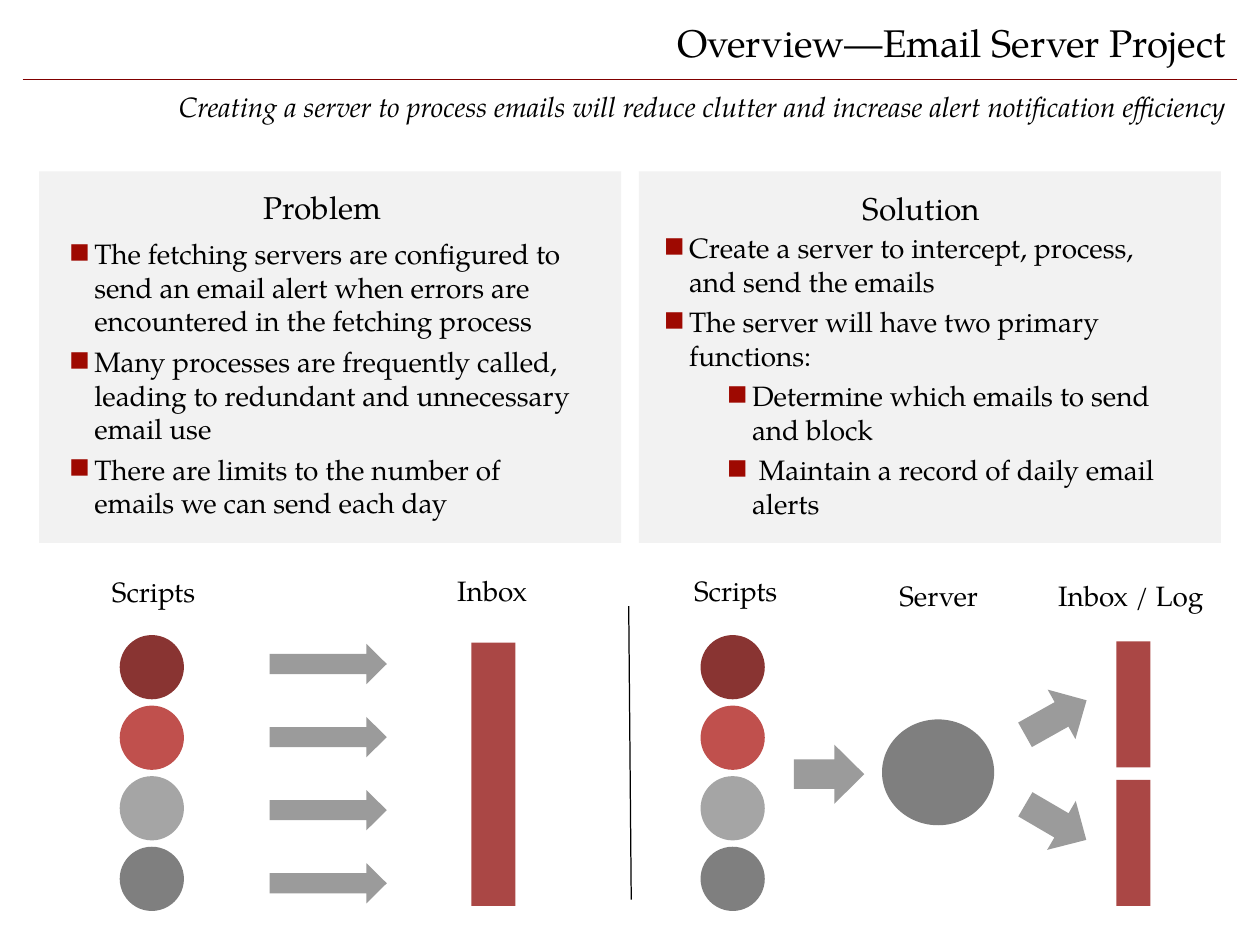
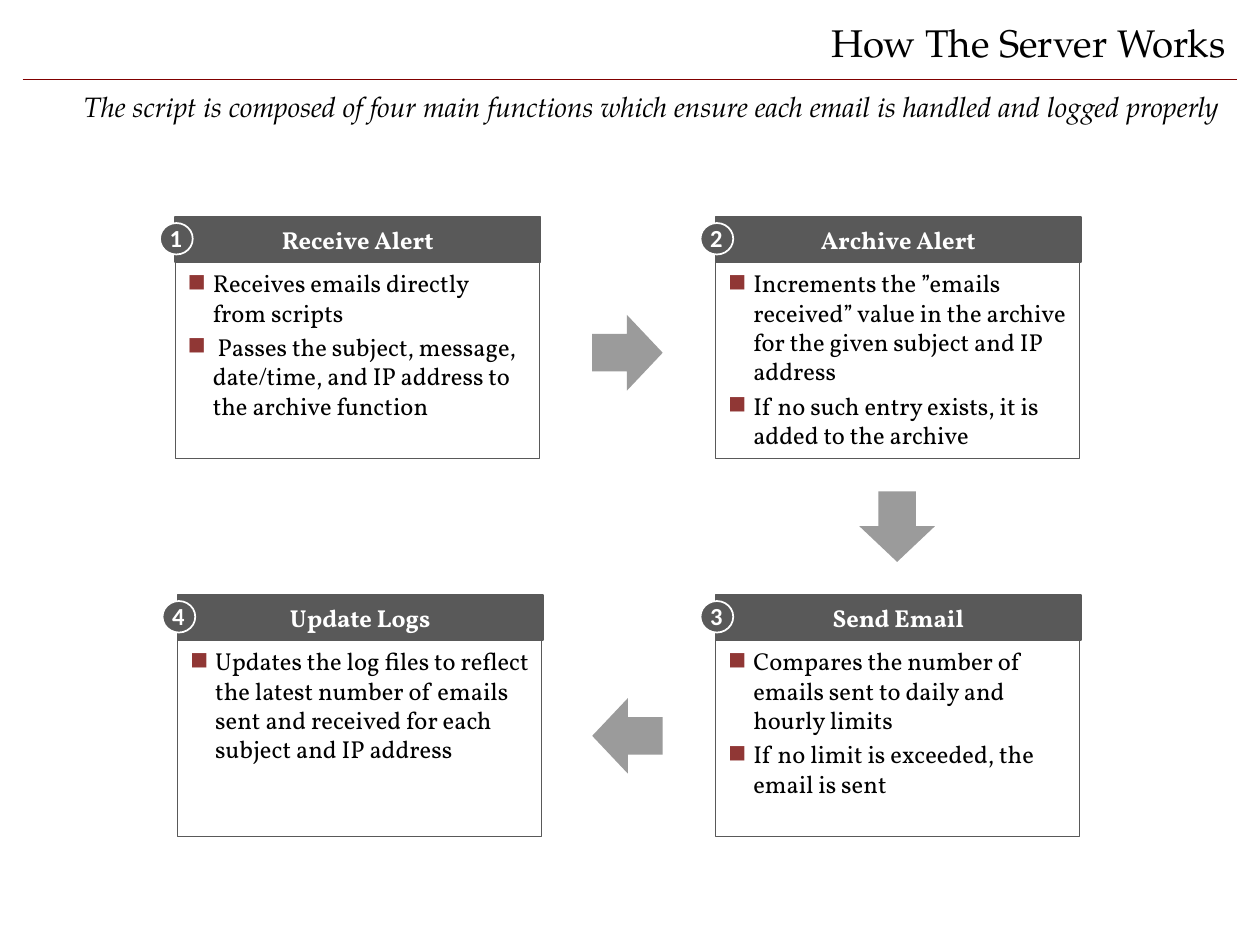
from dataclasses import dataclass

from lxml.etree import SubElement
from pptx import Presentation
from pptx.dml.color import RGBColor
from pptx.enum.shapes import MSO_CONNECTOR, MSO_SHAPE as Preset
from pptx.enum.text import MSO_ANCHOR as Anchor, MSO_AUTO_SIZE as AutoSize, PP_ALIGN as Align
from pptx.oxml.ns import qn
from pptx.util import Inches, Pt

# Colours
BLACK = RGBColor(0x00, 0x00, 0x00)
WHITE = RGBColor(0xFF, 0xFF, 0xFF)
MAROON = RGBColor(0x80, 0x00, 0x00)
PANEL_GREY = RGBColor(0xF2, 0xF2, 0xF2)
ARROW_GREY = RGBColor(0x9B, 0x9B, 0x9B)
HEADER_GREY = RGBColor(0x59, 0x59, 0x59)
SERVER_GREY = RGBColor(0x7F, 0x7F, 0x7F)
INBOX_RED = RGBColor(0xAA, 0x47, 0x45)
BRIGHT_BULLET = RGBColor(0x9E, 0x09, 0x01)
DARK_BULLET = RGBColor(0x90, 0x37, 0x35)
SCRIPT_COLOURS = (
    RGBColor(0x89, 0x34, 0x32),
    RGBColor(0xC0, 0x50, 0x4D),
    RGBColor(0xA5, 0xA5, 0xA5),
    SERVER_GREY,
)

# Fonts
SERIF = "TeX Gyre Pagella"
CARD_FONT = "Vollkorn"
NUMBER_FONT = "Calibri"

BULLET_HANG = 0.2
CARD_WIDTH = 2.9
HEADER_HEIGHT = 0.36


@dataclass(frozen=True)
class Bullet:
    text: str
    indent: float = BULLET_HANG


@dataclass(frozen=True)
class Panel:
    heading: str
    left: float
    heading_at: tuple[float, float]
    list_at: tuple[float, float]
    bullets: tuple[Bullet, ...]


@dataclass(frozen=True)
class Label:
    text: str
    left: float
    top: float
    width: float = 2.22
    align: Align = Align.LEFT


@dataclass(frozen=True)
class Arrow:
    left: float
    top: float
    width: float = 0.56
    height: float = 0.6
    rotation: float = 0


@dataclass(frozen=True)
class Card:
    number: int
    heading: str
    left: float
    top: float
    bullets: tuple[Bullet, ...]


PANELS = (
    Panel("Solution", 5.07, (6.75, 1.45), (5.17, 1.78), (
        Bullet("Create a server to intercept, process, and send the emails"),
        Bullet("The server will have two primary functions:"),
        Bullet("Determine which emails to send and block", 0.7),
        Bullet(" Maintain a record of daily email alerts", 0.7),
    )),
    Panel("Problem", 0.31, (1.99, 1.44), (0.45, 1.83), (
        Bullet("The fetching servers are configured to send an email alert "
               "when errors are encountered in the fetching process"),
        Bullet("Many processes are frequently called, leading to redundant "
               "and unnecessary email use"),
        Bullet("There are limits to the number of emails we can send each day"),
    )),
)

LABELS = (
    Label("Scripts", 0.79, 4.51),
    Label("Inbox", 3.53, 4.5),
    Label("Scripts", 5.41, 4.5),
    Label("Server", 6.95, 4.54, 1, Align.CENTER),
    Label("Inbox / Log", 8.3, 4.54, 1.6),
)

FLOW_ARROWS = (
    *(Arrow(2.14, 5.11 + 0.58 * row, 0.93, 0.32) for row in range(4)),
    Arrow(6.3, 5.91, 0.56, 0.47),
    Arrow(8.1, 6.3, 0.56, 0.45, 30.3),
    Arrow(8.1, 5.47, 0.56, 0.45, 330.7),
)

CARDS = (
    Card(1, "Receive Alert", 1.39, 1.72, (
        Bullet("Receives emails directly from scripts"),
        Bullet(" Passes the subject, message, date/time, and IP address "
               "to the archive function"),
    )),
    Card(2, "Archive Alert", 5.68, 1.72, (
        Bullet("Increments the ”emails received” value in the archive "
               "for the given subject and IP address"),
        Bullet("If no such entry exists, it is added to the archive"),
    )),
    Card(3, "Send Email", 5.68, 4.72, (
        Bullet("Compares the number of emails sent to daily and hourly limits"),
        Bullet("If no limit is exceeded, the email is sent"),
    )),
    Card(4, "Update Logs", 1.41, 4.72, (
        Bullet("Updates the log files to reflect the latest number of emails "
               "sent and received for each subject and IP address"),
    )),
)

CARD_ARROWS = (
    Arrow(4.7, 2.5),
    Arrow(4.7, 5.54, rotation=180),
    Arrow(6.84, 3.88, rotation=90),
)


def write(box, text: str, *, size: float = 16, font: str = SERIF, colour: RGBColor = BLACK,
          bold: bool = False, italic: bool = False, align: Align = Align.LEFT,
          anchor: Anchor = Anchor.TOP, line_spacing: float | None = None,
          space_before: float = 0, bullet: RGBColor | None = None,
          indent: float = BULLET_HANG) -> None:
    """Add one formatted paragraph to a shape."""
    frame = box.text_frame
    frame.word_wrap = True
    frame.vertical_anchor = anchor
    para = frame.add_paragraph() if frame.text else frame.paragraphs[0]
    para.alignment = align
    para.space_before = Pt(space_before)
    if line_spacing:
        para.line_spacing = line_spacing
    span = para.add_run()
    span.text = text
    span.font.size = Pt(size)
    span.font.name = font
    span.font.bold = bold
    span.font.italic = italic
    span.font.color.rgb = colour
    if bullet is not None:
        props = para._p.get_or_add_pPr()
        props.set("marL", str(Inches(indent)))
        props.set("indent", str(-Inches(BULLET_HANG)))
        SubElement(SubElement(props, qn("a:buClr")), qn("a:srgbClr")).set("val", str(bullet))
        SubElement(props, qn("a:buSzPct")).set("val", "90000")
        SubElement(props, qn("a:buChar")).set("char", "◼")


def add_text_box(page, left: float, top: float, width: float, height: float):
    return page.shapes.add_textbox(Inches(left), Inches(top), Inches(width), Inches(height))


def add_preset(page, preset: Preset, left: float, top: float, width: float, height: float, *,
               fill: RGBColor | None = None, line: RGBColor | None = None,
               line_width: float = 1):
    shape = page.shapes.add_shape(preset, Inches(left), Inches(top), Inches(width), Inches(height))
    shape.shadow.inherit = False
    if fill is None:
        shape.fill.background()
    else:
        shape.fill.solid()
        shape.fill.fore_color.rgb = fill
    if line is None:
        shape.line.fill.background()
    else:
        shape.line.color.rgb = line
        shape.line.width = Pt(line_width)
    return shape


def add_rule(page, start: tuple[float, float], end: tuple[float, float],
             colour: RGBColor, width: float) -> None:
    rule = page.shapes.add_connector(MSO_CONNECTOR.STRAIGHT, *map(Inches, start + end))
    rule.line.color.rgb = colour
    rule.line.width = Pt(width)
    SubElement(rule._element.spPr, qn("a:effectLst"))


def add_arrow(page, arrow: Arrow) -> None:
    shape = add_preset(page, Preset.RIGHT_ARROW, arrow.left, arrow.top,
                       arrow.width, arrow.height, fill=ARROW_GREY)
    shape.adjustments[0] = 0.496
    shape.adjustments[1] = 0.506
    shape.rotation = arrow.rotation


def add_page(deck, title: str, subtitle: str):
    """Start a slide with the shared title, rule and subtitle."""
    page = deck.slides.add_slide(deck.slide_layouts.get_by_name("Title Only"))
    box = page.shapes.title
    box.left, box.top, box.width, box.height = map(Inches, (0.18, 0.01, 9.65, 0.56))
    box.text_frame.auto_size = AutoSize.NONE
    write(box, title, size=22, align=Align.RIGHT, anchor=Anchor.BOTTOM, line_spacing=0.9)
    add_rule(page, (0.18, 0.63), (9.82, 0.63), MAROON, 0.5)
    write(add_text_box(page, 0.18, 0.69, 9.65, 0.79), subtitle, italic=True,
          align=Align.RIGHT, line_spacing=0.9, space_before=10)
    return page


def add_panel(page, panel: Panel) -> None:
    add_preset(page, Preset.RECTANGLE, panel.left, 1.36, 4.62, 2.95, fill=PANEL_GREY)
    write(add_text_box(page, *panel.heading_at, 2.22, 0.71), panel.heading, size=18)
    bullet_list = add_text_box(page, *panel.list_at, 4.22, 2.42)
    for item in panel.bullets:
        write(bullet_list, item.text, space_before=4, bullet=BRIGHT_BULLET, indent=item.indent)


def add_scripts(page, left: float) -> None:
    for row, colour in enumerate(SCRIPT_COLOURS):
        add_preset(page, Preset.OVAL, left, 5.04 + 0.56 * row, 0.51, 0.51, fill=colour)


def add_card(page, card: Card) -> None:
    left, top = card.left, card.top
    header = add_preset(page, Preset.RECTANGLE, left, top, CARD_WIDTH, HEADER_HEIGHT,
                        fill=HEADER_GREY, line=HEADER_GREY)
    write(header, card.heading, size=14, font=CARD_FONT, colour=WHITE, bold=True,
          align=Align.CENTER, anchor=Anchor.MIDDLE)
    body = add_preset(page, Preset.RECTANGLE, left, top + HEADER_HEIGHT, CARD_WIDTH - 0.01, 1.56,
                      line=HEADER_GREY, line_width=0.75)
    for item in card.bullets:
        write(body, item.text, size=14, font=CARD_FONT, space_before=2.8,
              bullet=DARK_BULLET, indent=item.indent)
    add_preset(page, Preset.OVAL, left - 0.12, top + 0.05, 0.26, 0.25,
               fill=HEADER_GREY, line=WHITE)
    write(add_text_box(page, left - 0.15, top + 0.01, 0.31, 0.31), str(card.number), size=14,
          font=NUMBER_FONT, colour=WHITE, bold=True, align=Align.CENTER, anchor=Anchor.MIDDLE)


def build_overview(deck) -> None:
    page = add_page(deck, "Overview—Email Server Project",
                    "Creating a server to process emails will reduce clutter "
                    "and increase alert notification efficiency")
    for panel in PANELS:
        add_panel(page, panel)
    add_rule(page, (4.99, 4.81), (5.01, 7.14), BLACK, 0.7)
    # Message flow before and after the server
    for left in (0.95, 5.56):
        add_scripts(page, left)
    add_preset(page, Preset.RECTANGLE, 3.74, 5.1, 0.35, 2.09, fill=INBOX_RED)
    add_preset(page, Preset.OVAL, 7, 5.71, 0.89, 0.84, fill=SERVER_GREY)
    for top in (5.09, 6.19):
        add_preset(page, Preset.RECTANGLE, 8.86, top, 0.27, 1, fill=INBOX_RED)
    for arrow in FLOW_ARROWS:
        add_arrow(page, arrow)
    for label in LABELS:
        write(add_text_box(page, label.left, label.top, label.width, 0.67),
              label.text, align=label.align)


def build_functions(deck) -> None:
    page = add_page(deck, "How The Server Works",
                    "The script is composed of four main functions which ensure "
                    "each email is handled and logged properly ")
    for card in CARDS:
        add_card(page, card)
    for arrow in CARD_ARROWS:
        add_arrow(page, arrow)


def main() -> None:
    deck = Presentation()
    deck.slide_width, deck.slide_height = Inches(10), Inches(7.5)
    build_overview(deck)
    build_functions(deck)
    deck.save("out.pptx")


if __name__ == "__main__":
    main()
